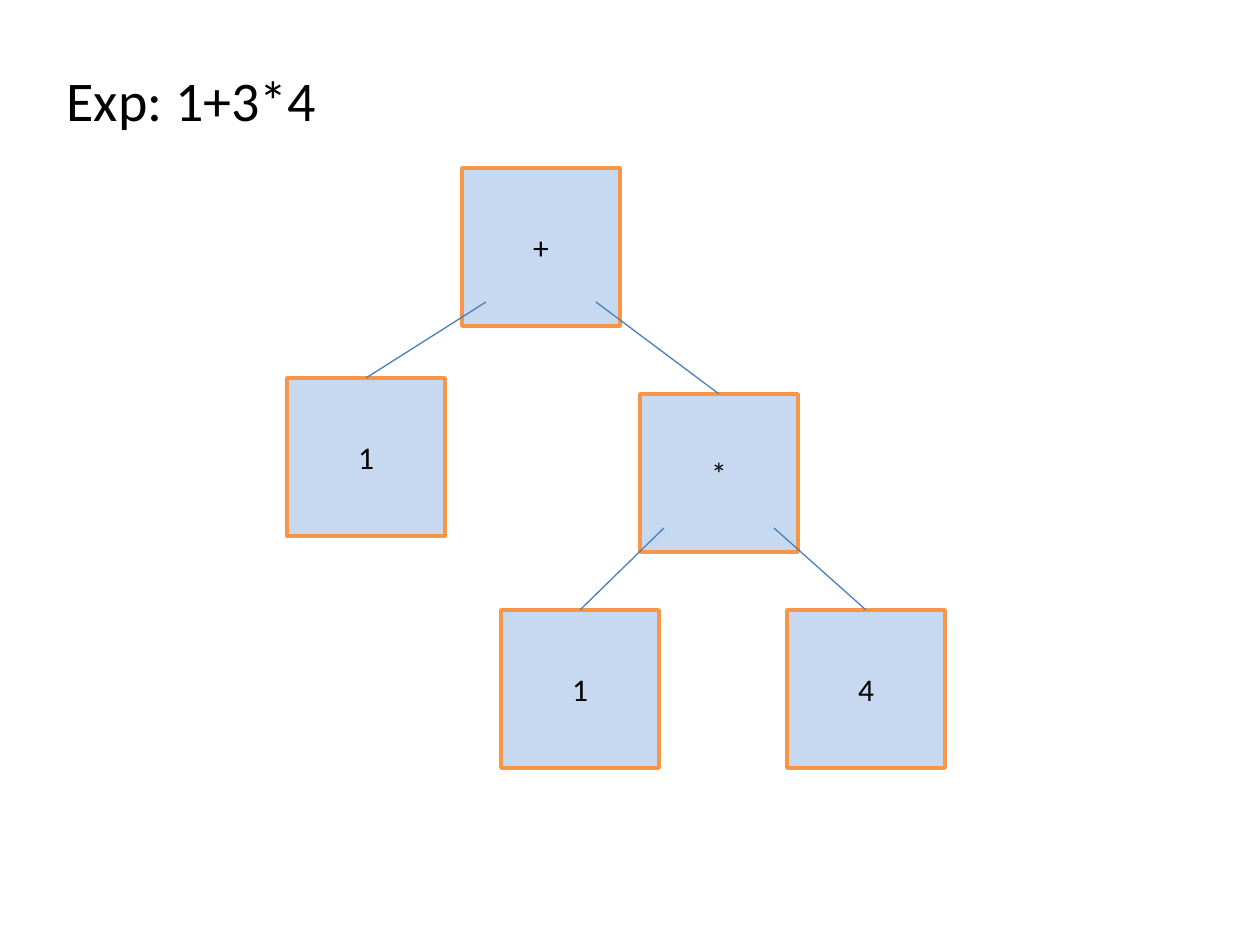
from lxml.etree import SubElement
from pptx import Presentation
from pptx.dml.color import RGBColor
from pptx.enum.shapes import MSO_CONNECTOR as CONN, MSO_SHAPE as SHAPE
from pptx.enum.text import MSO_ANCHOR as ANCHOR, MSO_AUTO_SIZE as AUTO, PP_ALIGN as ALIGN
from pptx.oxml.ns import qn
from pptx.util import Pt

SCALE = 914400 / 126  # EMU per px
BLACK = RGBColor(0x00, 0x00, 0x00)
PALE_BLUE = RGBColor(0xC6, 0xD9, 0xF1)
ORANGE = RGBColor(0xF7, 0x96, 0x46)
BLUE = RGBColor(0x4A, 0x7E, 0xBB)

SIDE = 158   # node width and height
INSET = 24   # distance of a branch's start from the parent's lower corner

# name: (label, left, top)
NODES = {
    "plus": ("+", 462, 168),
    "times": ("*", 640, 394),
    "inner left": ("1", 501, 610),
    "inner right": ("4", 787, 610),
    "outer left": ("1", 287, 378),
}
# parent: (left child, right child)
BRANCHES = {
    "plus": ("outer left", "times"),
    "times": ("inner left", "inner right"),
}


def emu(*lengths):
    return [round(v * SCALE) for v in lengths]


class TreeSlide:
    font = "Calibri"

    def __init__(self, prs):
        self.slide = prs.slides.add_slide(prs.slide_layouts[5])

    def label(self, sp, text, size, align, **frame):
        tf = sp.text_frame
        for name, value in frame.items():
            setattr(tf, name, value)
        p = tf.paragraphs[0]
        p.alignment = align
        r = p.add_run()
        r.text = text
        for name, value in {"name": self.font, "size": Pt(size)}.items():
            setattr(r.font, name, value)
        r.font.color.rgb = BLACK

    def title(self, text, *box):
        sp = self.slide.shapes.title
        sp.left, sp.top, sp.width, sp.height = emu(*box)
        self.label(sp, text, 32, ALIGN.LEFT, word_wrap=False,
                   auto_size=AUTO.NONE, vertical_anchor=ANCHOR.TOP)

    def node(self, text, left, top):
        sp = self.slide.shapes.add_shape(SHAPE.RECTANGLE, *emu(left, top, SIDE, SIDE))
        sp.shadow.inherit = False
        sp.fill.solid()
        sp.fill.fore_color.rgb = PALE_BLUE
        sp.line.color.rgb = ORANGE
        sp.line.width = Pt(2)
        self.label(sp, text, 18, ALIGN.CENTER, vertical_anchor=ANCHOR.MIDDLE)
        return sp

    def branch(self, x, y, child):
        """Draw a line from a point to the middle of the child's top side."""
        start = emu(x, y)
        line = self.slide.shapes.add_connector(CONN.STRAIGHT, *start, *start)
        line.end_connect(child, 0)
        line.line.color.rgb = BLUE
        line.line.width = Pt(0.75)
        SubElement(line._element.spPr, qn("a:effectLst"))


def main():
    prs = Presentation()
    prs.slide_width, prs.slide_height = emu(1260, 945)
    s = TreeSlide(prs)
    s.title("Exp: 1+3*4", 54, 59, 348, 79)
    shapes = {name: s.node(*node) for name, node in NODES.items()}
    for parent, children in BRANCHES.items():
        _, left, top = NODES[parent]
        for dx, child in zip((INSET, SIDE - INSET), children):
            s.branch(left + dx, top + SIDE - INSET, shapes[child])
    prs.save("out.pptx")


if __name__ == "__main__":
    main()
